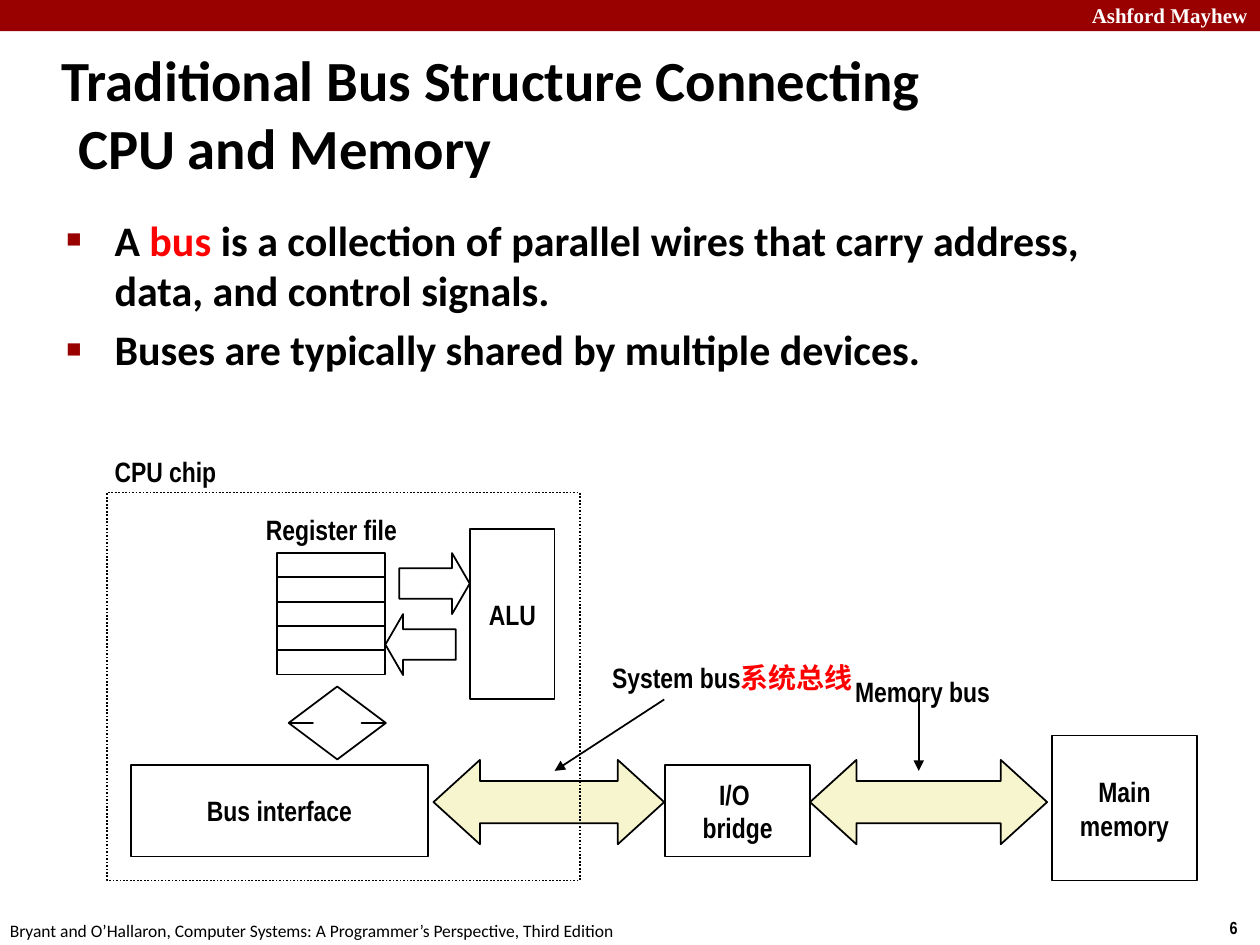
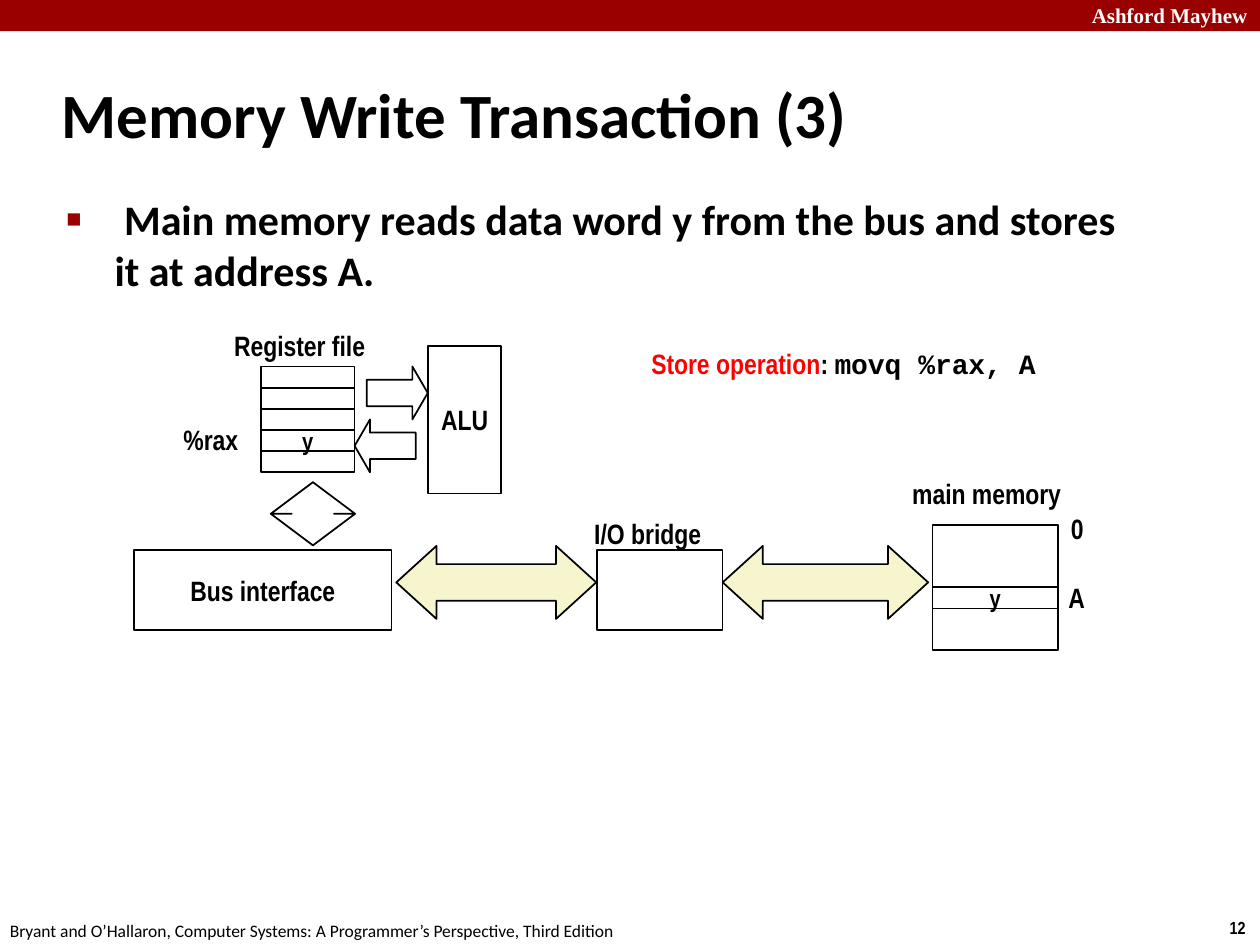
import pptx
import pptx.util
from pptx.dml.color import RGBColor
from pptx.enum.dml import MSO_LINE
from pptx.enum.shapes import MSO_CONNECTOR, MSO_SHAPE
from pptx.enum.text import MSO_ANCHOR, MSO_AUTO_SIZE, PP_ALIGN
from pptx.oxml import parse_xml
from pptx.oxml.ns import nsdecls
from pptx.util import Cm

BLACK = RGBColor(0, 0, 0)
WHITE = RGBColor(255, 255, 255)
RED = RGBColor(255, 0, 0)
BRAND = RGBColor(0x99, 0, 0)
CREAM = RGBColor(0xF7, 0xF5, 0xCD)
BOX = MSO_SHAPE.RECTANGLE
BUS = MSO_SHAPE.LEFT_RIGHT_ARROW


def write(shape, *lines, size=16, font="Arial Narrow", color=BLACK, bold=True,
          align=PP_ALIGN.LEFT, anchor=MSO_ANCHOR.MIDDLE, wrap=False):
    """Fill a shape with lines, each a string or a list of (text, format) runs."""
    frame = shape.text_frame
    frame.word_wrap = wrap
    frame.vertical_anchor = anchor
    if wrap:
        frame.auto_size = MSO_AUTO_SIZE.NONE
    for i, line in enumerate(lines):
        para = frame.paragraphs[0] if i == 0 else frame.add_paragraph()
        para.alignment = align
        for text, form in [(line, {})] if isinstance(line, str) else line:
            if text == "\v":
                para.add_line_break()
                continue
            run = para.add_run()
            run.text = text
            run.font.size = pptx.util.Pt(size)
            run.font.bold = bold
            run.font.name = form.get("font", font)
            run.font.color.rgb = form.get("color", color)
    return frame


def draw(slide, kind, at, fill=None, line=BLACK, adjust=()):
    """Add a preset shape, or a text box if kind is None; at is in centimetres."""
    place = [Cm(n) for n in at]
    if kind is None:
        shape = slide.shapes.add_textbox(*place)
        shape.text_frame.auto_size = MSO_AUTO_SIZE.SHAPE_TO_FIT_TEXT
        return shape
    shape = slide.shapes.add_shape(kind, *place)
    shape.shadow.inherit = False
    if fill is None:
        shape.fill.background()
    else:
        shape.fill.solid()
        shape.fill.fore_color.rgb = fill
    if line is None:
        shape.line.fill.background()
    else:
        shape.line.color.rgb = line
        shape.line.width = pptx.util.Pt(1)
    for i, value in enumerate(adjust):
        shape.adjustments[i] = value
    return shape


# Machine parts, measured from the top left of the register file
ROW, COUNT = 0.49, 5
PARTS = [
    ("right", MSO_SHAPE.RIGHT_ARROW, (2.46, 0, 1.42, 1.23), None, (0.5, 0.29)),
    ("left", MSO_SHAPE.LEFT_ARROW, (2.18, 1.23, 1.42, 1.23), None, (0.5, 0.29)),
    ("alu", BOX, (3.89, -0.48, 1.7, 3.43), None, ()),
    # this preset takes the head length first, then the shaft width
    ("updown", MSO_SHAPE.UP_DOWN_ARROW, (0.23, 2.69, 1.96, 1.47), None, (0.2, 0.5)),
    ("face", BOX, (-2.95, 4.27, 5.99, 1.85), None, ()),
    ("system", BUS, (3.15, 4.17, 4.65, 1.7), CREAM, (0.5, 0.55)),
    ("bridge", BOX, (7.82, 4.27, 2.92, 1.85), None, ()),
    ("bus", BUS, (10.74, 4.17, 4.78, 1.7), CREAM, (0.5, 0.55)),
    ("main", BOX, (15.62, 3.68, 2.92, 2.92), None, ()),
]

PAGES = [
    dict(
        number="6", size=32.4, width=24.41, top=4.19,
        title=[("Traditional Bus Structure Connecting ", {}), ("\v", {}),
               ("CPU and Memory", {})],
        points=[
            [("A ", {}), ("bus", dict(color=RED)),
             (" is a collection of parallel wires that carry address, "
              "data, and control signals.", {})],
            "Buses are typically shared by multiple devices.",
        ],
        start=(5.59, 11.15), scale=1, cell=None,
        names=dict(alu=["ALU"], face=["Bus interface"],
                   bridge=["I/O ", "bridge"], main=["Main", "memory"]),
        labels=[("Register file", (5.11, 10.21, 3.2, 0.94)),
                ("CPU chip", (2.06, 9.04, 3.02, 0.94)),
                ("Memory bus", (16.99, 13.46, 3.28, 0.94))],
    ),
    dict(
        number="12", size=36, width=21.08, top=3.78,
        title="Memory Write Transaction (3)",
        points=[" Main memory reads data word y from the bus and stores "
                "it at address A."],
        start=(5.26, 7.39), scale=13 / 15, cell=3,
        names=dict(alu=["ALU"], face=["Bus interface"]),
        labels=[("Register file", (4.47, 6.5, 3.2, 0.94)),
                ("main memory", (18.14, 9.47, 4.19, 0.94)),
                ("0", (21.34, 10.19, 0.81, 0.94)),
                ("A", (21.29, 11.58, 0.91, 0.94)),
                ("%rax", (3.45, 8.38, 1.63, 0.94)),
                ("I/O bridge", (11.73, 10.29, 3.15, 0.94))],
    ),
]

deck = pptx.Presentation()
deck.slide_width, deck.slide_height = Cm(25.4), Cm(19.05)
slides = []

for page in PAGES:
    slide = deck.slides.add_slide(deck.slide_layouts[5])
    slides.append(slide)

    # Band and footers
    draw(slide, BOX, (0, 0, 25.4, 0.63), BRAND, None)
    write(draw(slide, None, (19.4, -0.08, 6, 0.76)), "Ashford Mayhew", size=12,
          font="Times New Roman", color=WHITE, align=PP_ALIGN.RIGHT, wrap=True)
    write(draw(slide, None, (24.54, 18.36, 0.86, 0.69)), page["number"], size=10)
    write(draw(slide, None, (-0.05, 18.42, 12.9, 0.69)),
          "Bryant and O’Hallaron, Computer Systems: A Programmer’s Perspective, "
          "Third Edition", size=10, font="Calibri", bold=False)

    # Title and bullets
    title = slide.shapes.title
    title.left, title.top = Cm(0.99), Cm(1.22)
    title.width, title.height = Cm(page["width"]), Cm(2.11)
    frame = write(title, page["title"], size=page["size"], font="Calibri", wrap=True)
    props = frame.paragraphs[0]._p.get_or_add_pPr()
    props.set("marL", str(Cm(0.33)))
    props.set("indent", str(-Cm(0.33)))

    body = draw(slide, None, (1.09, page["top"], 21.95, 13.82))
    frame = write(body, *page["points"], size=24, font="Calibri",
                  anchor=MSO_ANCHOR.TOP, wrap=True)
    for para in frame.paragraphs:
        para.space_before = pptx.util.Pt(4.8)
        props = para._p.get_or_add_pPr()
        props.set("marL", str(Cm(0.97)))
        props.set("indent", str(-Cm(0.97)))
        for mark in (f'<a:buClr {nsdecls("a")}><a:srgbClr val="{BRAND}"/></a:buClr>',
                     f'<a:buSzPct {nsdecls("a")} val="60000"/>',
                     f'<a:buFont {nsdecls("a")} typeface="Arial"/>',
                     f'<a:buChar {nsdecls("a")} char="■"/>'):
            props.append(parse_xml(mark))

    # Machine
    left, top = page["start"]
    scale = page["scale"]
    for i in range(COUNT):
        cell = draw(slide, BOX, (left, top + i * ROW * scale, 2.18 * scale, ROW * scale))
        if i == page["cell"]:
            write(cell, "y", size=14, align=PP_ALIGN.CENTER)
    for name, kind, (x, y, w, h), fill, adjust in PARTS:
        at = (left + x * scale, top + y * scale, w * scale, h * scale)
        part = draw(slide, kind, at, fill, adjust=adjust)
        if name in page["names"]:
            write(part, *page["names"][name], align=PP_ALIGN.CENTER)
    for text, at in page["labels"]:
        write(draw(slide, None, at), text)

first, second = slides

# Chip outline and bus pointers
chip = draw(first, BOX, (2.16, 9.93, 9.53, 7.82))
chip.line.dash_style = MSO_LINE.ROUND_DOT
write(draw(first, None, (12.09, 13.18, 5.41, 0.94)),
      [("System bus", {}), ("系统总线", dict(color=RED))], wrap=True)
for tail, tip in ((13.39, 11.18), (18.52, 18.52)):
    arrow = first.shapes.add_connector(
        MSO_CONNECTOR.STRAIGHT, Cm(tail), Cm(14.1), Cm(tip), Cm(15.54))
    arrow.line.color.rgb = BLACK
    arrow.line.width = pptx.util.Pt(1)
    arrow.line._get_or_add_ln().append(
        parse_xml(f'<a:tailEnd {nsdecls("a")} type="triangle"/>'))
    arrow._element.spPr.append(parse_xml(f'<a:effectLst {nsdecls("a")}/>'))

# Stored word and the instruction
write(draw(second, BOX, (18.8, 11.84, 2.53, 0.43)), "y", size=14,
      align=PP_ALIGN.CENTER)
write(draw(second, None, (12.88, 6.86, 8.38, 1.63)),
      [("Store operation", dict(color=RED)), (": ", {}),
       ("movq %rax, A", dict(font="Courier New"))], anchor=MSO_ANCHOR.TOP)

deck.save("out.pptx")
